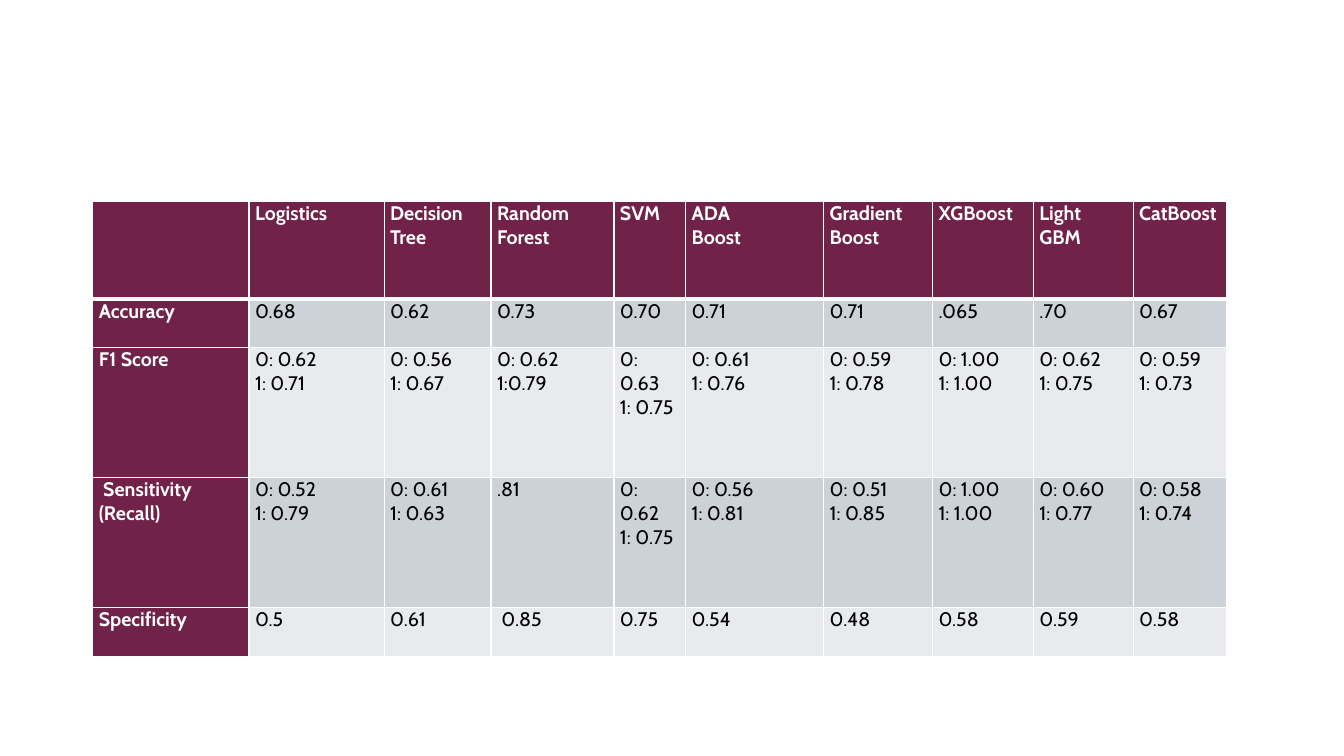
import pptx
import pptx.dml.color
import pptx.oxml.ns
import pptx.util
from lxml import etree
from pptx.util import Inches

FONT = "Cabin"
WHITE, BLACK, PLUM = "FFFFFF", "000000", "702248"
BANDS = ["CCD2D8", "E8EAED"]

COLUMN_WIDTHS = [1.55, 1.34, 1.06, 1.22, 0.71, 1.37, 1.08, 1, 0.99, 0.93]
ROW_HEIGHTS = [0.97, 0.48, 1.29, 1.29, 0.48]

# Each line break inside a cell starts a new paragraph
SCORES = [
    ["", "Logistics", "Decision Tree", "Random Forest", "SVM", "ADA\nBoost",
     "Gradient Boost", "XGBoost", "Light GBM", "CatBoost"],
    ["Accuracy", "0.68", "0.62", "0.73", "0.70", "0.71", "0.71", ".065", ".70", "0.67"],
    ["F1 Score", "0: 0.62\n1: 0.71", "0: 0.56\n1: 0.67", "0: 0.62\n1:0.79",
     "0: 0.63\n1: 0.75", "0: 0.61\n1: 0.76", "0: 0.59\n1: 0.78",
     "0: 1.00\n1: 1.00", "0: 0.62\n1: 0.75", "0: 0.59\n1: 0.73"],
    [" Sensitivity (Recall)", "0: 0.52\n1: 0.79", "0: 0.61\n1: 0.63", ".81",
     "0: 0.62\n1: 0.75", "0: 0.56\n1: 0.81", "0: 0.51\n1: 0.85",
     "0: 1.00\n1: 1.00", "0: 0.60\n1: 0.77", "0: 0.58\n1: 0.74"],
    ["Specificity", "0.5", "0.61", " 0.85", "0.75", "0.54", "0.48", "0.58", "0.59", "0.58"],
]


def color(value):
    return pptx.dml.color.RGBColor.from_string(value)


def add_border(cell, side, width):
    """Draw one white cell border; side is L, R, T or B."""
    qn = pptx.oxml.ns.qn
    properties = cell._tc.get_or_add_tcPr()
    line = etree.SubElement(properties, qn(f"a:ln{side}"), w=str(pptx.util.Pt(width)))
    fill = etree.SubElement(line, qn("a:solidFill"))
    etree.SubElement(fill, qn("a:srgbClr"), val=WHITE)


def write_cell(cell, text, font_color, bold):
    cell.margin_left = cell.margin_right = Inches(0.06)
    cell.margin_top = cell.margin_bottom = 0
    frame = cell.text_frame
    for index, line in enumerate(text.split("\n")):
        paragraph = frame.add_paragraph() if index else frame.paragraphs[0]
        paragraph.font.size = pptx.util.Pt(14)
        if line:
            run = paragraph.add_run()
            run.text = line
            run.font.name = FONT
            run.font.size = pptx.util.Pt(14)
            run.font.bold = bold
            run.font.color.rgb = color(font_color)


def style_cell(cell, fill, top, bottom):
    for side, width in (("L", 1), ("R", 1), ("T", top), ("B", bottom)):
        add_border(cell, side, width)
    cell.fill.solid()
    cell.fill.fore_color.rgb = color(fill)


def add_score_table(slide):
    shape = slide.shapes.add_table(
        len(ROW_HEIGHTS), len(COLUMN_WIDTHS), Inches(0.92), Inches(2),
        Inches(sum(COLUMN_WIDTHS)), Inches(sum(ROW_HEIGHTS)))
    table = shape.table
    table.first_col = True
    for column, width in zip(table.columns, COLUMN_WIDTHS):
        column.width = Inches(width)
    for row, height in zip(table.rows, ROW_HEIGHTS):
        row.height = Inches(height)

    # The header row and the label column share the plum style
    for row_index, row_texts in enumerate(SCORES):
        for column_index, text in enumerate(row_texts):
            heading = row_index == 0 or column_index == 0
            cell = table.cell(row_index, column_index)
            write_cell(cell, text, WHITE if heading else BLACK, heading)
            style_cell(cell, PLUM if heading else BANDS[(row_index - 1) % 2],
                       top=3 if row_index == 1 else 1,
                       bottom=3 if row_index == 0 else 1)


def main():
    presentation = pptx.Presentation()
    presentation.slide_width = Inches(13.33)
    presentation.slide_height = Inches(7.5)
    # Blank layout: the slide has no title
    slide = presentation.slides.add_slide(presentation.slide_layouts[6])
    add_score_table(slide)
    presentation.save("out.pptx")


if __name__ == "__main__":
    main()
